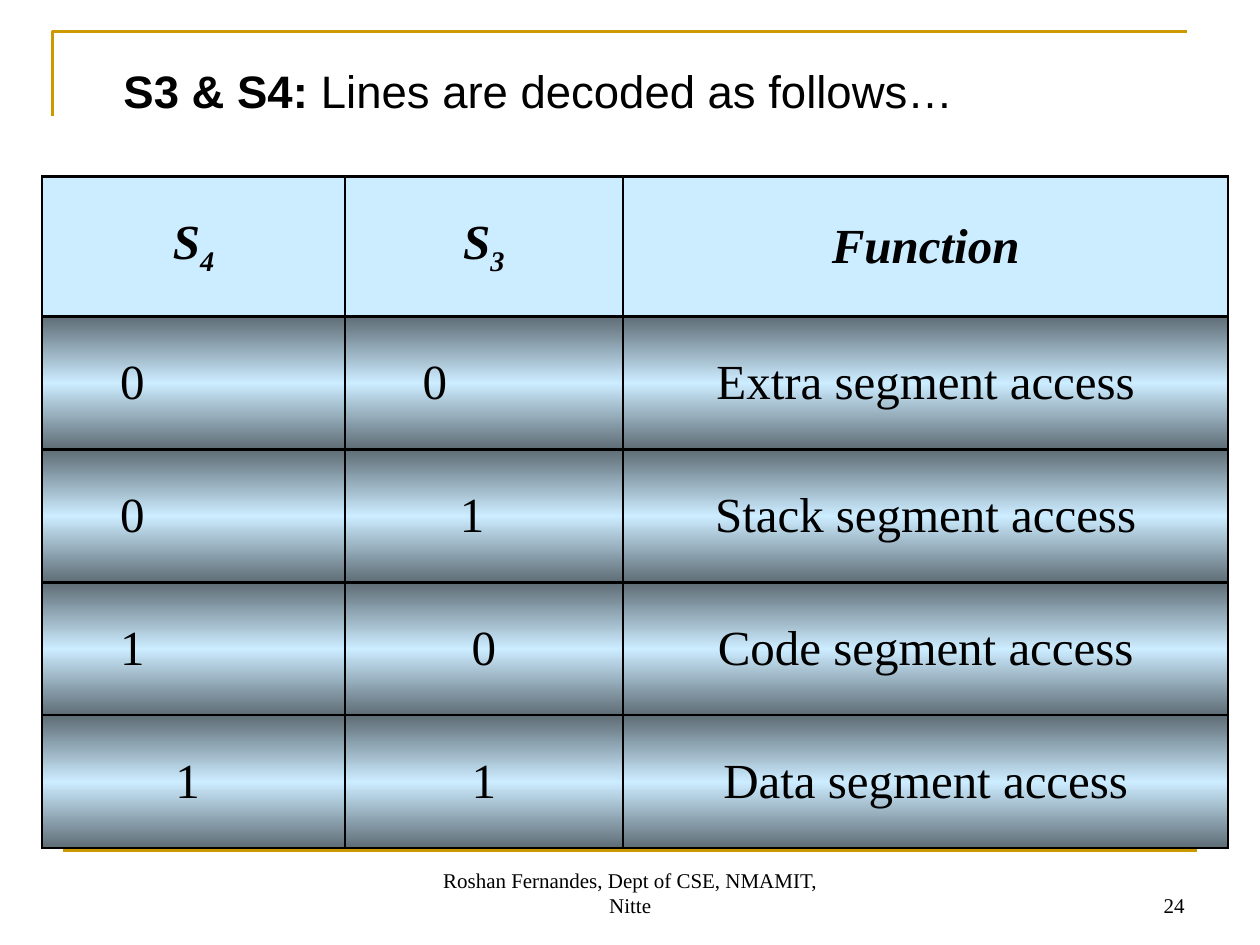
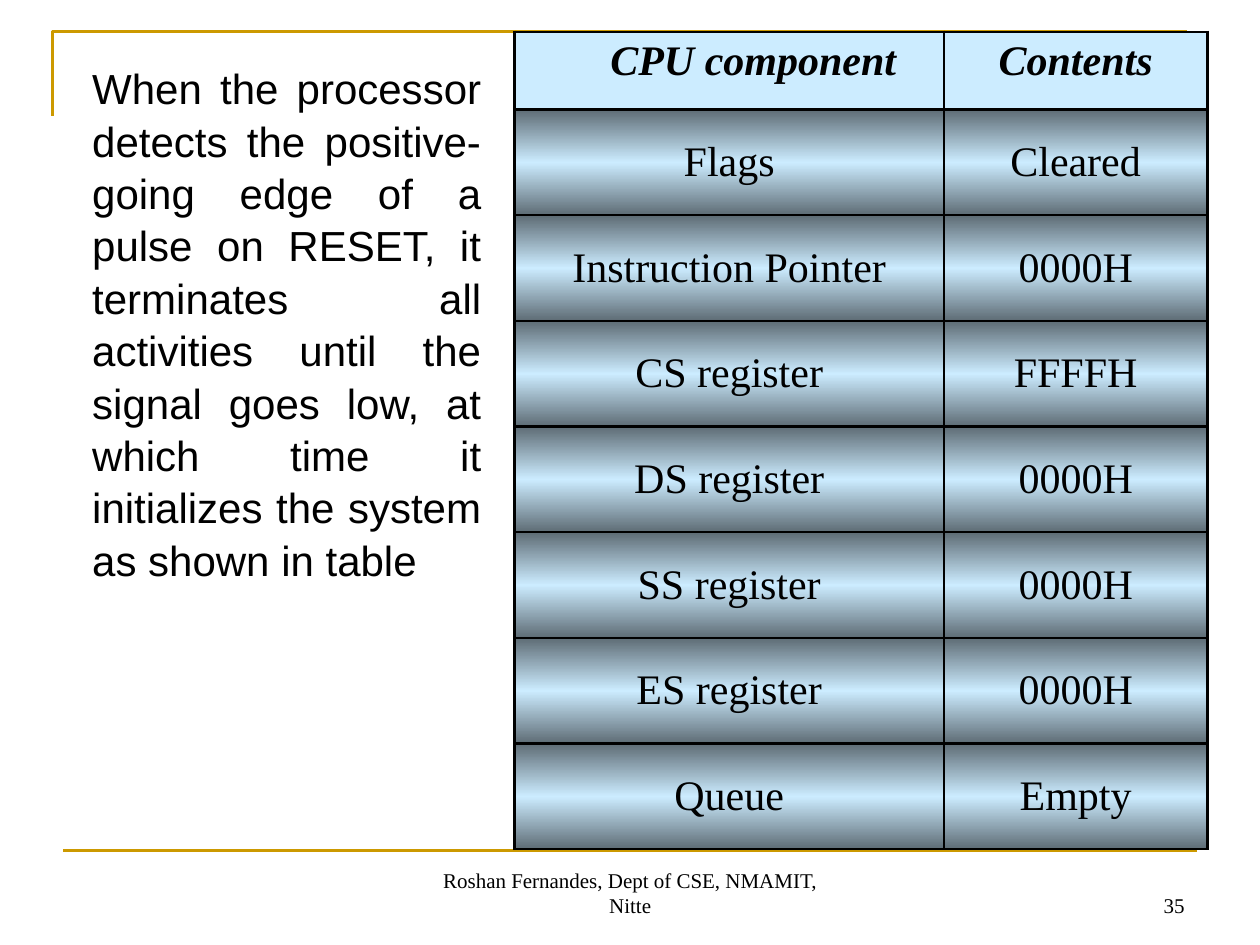
from lxml.etree import SubElement
from pptx import Presentation
from pptx.dml.color import RGBColor
from pptx.enum.shapes import MSO_CONNECTOR
from pptx.enum.text import MSO_ANCHOR, PP_ALIGN
from pptx.oxml import parse_xml
from pptx.oxml.ns import nsdecls, qn
from pptx.util import Cm, Pt

GOLD = RGBColor(0xCC, 0x99, 0x00)
BLACK = RGBColor(0x00, 0x00, 0x00)
PALE_BLUE = RGBColor(0xCC, 0xEC, 0xFF)
SLATE = RGBColor(0x5E, 0x6C, 0x75)
SANS = "Arial"
SERIF = "Times New Roman"
FOOTER = "Roshan Fernandes, Dept of CSE, NMAMIT, Nitte"
SIDE_INSET = Cm(0.25)
HANGING_INSET = Cm(1.22)

STATUS_HEADER = ["S4", "S3", "Function"]
STATUS_ROWS = [
    ["0", "0", "Extra segment access"],
    ["0", "1", "Stack segment access"],
    ["1", "0", "Code segment access"],
    ["1", "1", "Data segment access"],
]
STATUS_SHIFTS = {(1, 0): 2.46, (2, 0): 2.46, (3, 0): 2.46, (4, 0): 0.24,
                 (1, 1): 1.98, (2, 1): 0.48}
RESET_HEADER = ["CPU component", "Contents"]
RESET_ROWS = [
    ["Flags", "Cleared"],
    ["Instruction Pointer", "0000H"],
    ["CS register", "FFFFH"],
    ["DS register", "0000H"],
    ["SS register", "0000H"],
    ["ES register", "0000H"],
    ["Queue", "Empty"],
]
RESET_TEXT = (
    "When the processor detects the positive-going edge of a pulse on RESET, "
    "it terminates all activities until the signal goes low, at which time it "
    "initializes the system as shown in table"
)


def format_run(run, size, font, bold=False, italic=False):
    """Apply font, size and weight to one run in black."""
    run.font.name = font
    run.font.size = Pt(size)
    run.font.bold = bold
    run.font.italic = italic
    run.font.color.rgb = BLACK


def add_text(slide, box, parts, size, font, align=PP_ALIGN.LEFT,
             anchor=MSO_ANCHOR.TOP, left_inset=SIDE_INSET, spacing=1.0):
    """Add one paragraph made of (text, bold) parts."""
    frame = slide.shapes.add_textbox(*map(Cm, box)).text_frame
    frame.word_wrap = True
    frame.vertical_anchor = anchor
    frame.margin_left = left_inset
    frame.margin_right = SIDE_INSET
    paragraph = frame.paragraphs[0]
    paragraph.alignment = align
    paragraph.line_spacing = spacing
    for text, bold in parts:
        run = paragraph.add_run()
        run.text = text
        format_run(run, size, font, bold)


def add_frame_lines(slide):
    """Draw the gold corner and the gold line above the footer."""
    builder = slide.shapes.build_freeform(Cm(1.06), Cm(2.33))
    builder.add_line_segments(
        [(Cm(1.06), Cm(0.64)), (Cm(23.92), Cm(0.64))], close=False)
    corner = builder.convert_to_shape()
    corner.shadow.inherit = False
    corner.fill.background()
    base = slide.shapes.add_connector(
        MSO_CONNECTOR.STRAIGHT, Cm(1.27), Cm(17.15), Cm(24.13), Cm(17.15))
    SubElement(base._element.spPr, qn("a:effectLst"))
    for rule in (corner, base):
        rule.line.color.rgb = GOLD
        rule.line.width = Pt(1.5)


def add_footer(slide, number):
    """Add the author line and the slide number."""
    for left, width, text, align in (
            (8.68, 8.05, FOOTER, PP_ALIGN.CENTER),
            (18.2, 5.93, str(number), PP_ALIGN.RIGHT)):
        add_text(slide, (left, 17.35, width, 1.27), [(text, False)], 12,
                 SERIF, align, MSO_ANCHOR.BOTTOM)


def add_borders(cell):
    """Draw a black line on all four sides of a cell."""
    properties = cell._tc.get_or_add_tcPr()
    for side in ("lnL", "lnR", "lnT", "lnB"):
        properties.append(parse_xml(
            f'<a:{side} {nsdecls("a")} w="{Pt(1.47)}"><a:solidFill>'
            f'<a:srgbClr val="{BLACK}"/></a:solidFill></a:{side}>'))


def fill_with_sheen(cell):
    """Fill a cell with a vertical gradient that is light in the middle."""
    stops = "".join(
        f'<a:gs pos="{place}"><a:srgbClr val="{color}"/></a:gs>'
        for place, color in ((0, SLATE), (50000, PALE_BLUE), (100000, SLATE)))
    cell._tc.get_or_add_tcPr().append(parse_xml(
        f'<a:gradFill {nsdecls("a")} rotWithShape="1"><a:gsLst>{stops}'
        '</a:gsLst><a:lin ang="5400000" scaled="1"/></a:gradFill>'))


def write_cell(cell, text, size, is_header):
    """Write, format, border and fill one table cell."""
    paragraph = cell.text_frame.paragraphs[0]
    paragraph.alignment = PP_ALIGN.CENTER
    is_signal = text in ("S3", "S4")
    for part in (text if is_signal else [text]):
        run = paragraph.add_run()
        run.text = part
        format_run(run, size, SERIF, is_header, is_header)
        if is_signal and part.isdigit():
            run._r.get_or_add_rPr().set("baseline", "-25000")
    cell.vertical_anchor = MSO_ANCHOR.MIDDLE
    cell.margin_left = cell.margin_right = SIDE_INSET
    add_borders(cell)
    if is_header:
        cell.fill.solid()
        cell.fill.fore_color.rgb = PALE_BLUE
    else:
        fill_with_sheen(cell)


def add_sheen_table(slide, left, top, widths, heights, rows, size):
    """Add a table with a pale header row and gradient body rows."""
    table = slide.shapes.add_table(
        len(rows), len(widths), Cm(left), Cm(top),
        Cm(sum(widths)), Cm(sum(heights))).table
    table.horz_banding = False
    for column, width in zip(table.columns, widths):
        column.width = Cm(width)
    for index, (row, height) in enumerate(zip(table.rows, heights)):
        row.height = Cm(height)
        for cell, text in zip(row.cells, rows[index]):
            write_cell(cell, text, size, index == 0)
    return table


def add_framed_slide(deck, number):
    """Add a blank slide with the shared lines and footer."""
    slide = deck.slides.add_slide(deck.slide_layouts[6])
    add_frame_lines(slide)
    add_footer(slide, number)
    return slide


def add_status_slide(deck):
    """Build the slide that decodes the status lines."""
    slide = add_framed_slide(deck, 24)
    add_text(slide, (1.27, 1.1, 23.06, 1.9),
             [("S3 & S4:", True), (" Lines are decoded as follows…", False)],
             26, SANS, left_inset=HANGING_INSET, spacing=1.04)
    table = add_sheen_table(slide, 0.85, 3.56, [6.1, 5.61, 12.2],
                            [2.82] + [2.68] * 4,
                            [STATUS_HEADER] + STATUS_ROWS, 28)
    for (row, column), shift in STATUS_SHIFTS.items():
        table.cell(row, column).margin_right = SIDE_INSET + Cm(shift)


def add_reset_slide(deck):
    """Build the slide on the processor state after reset."""
    slide = add_framed_slide(deck, 35)
    add_text(slide, (0.64, 1.1, 9.31, 15.66), [(RESET_TEXT, False)], 24, SANS,
             PP_ALIGN.JUSTIFY, left_inset=HANGING_INSET, spacing=1.04)
    table = add_sheen_table(slide, 10.37, 0.64, [8.66, 5.31],
                            [1.57] + [2.13] * 7,
                            [RESET_HEADER] + RESET_ROWS, 24)
    for cell in table.rows[0].cells:
        cell.vertical_anchor = MSO_ANCHOR.TOP
    table.cell(0, 0).margin_left = HANGING_INSET


def main():
    """Build and save the deck."""
    deck = Presentation()
    deck.slide_width = Cm(25.4)
    deck.slide_height = Cm(19.05)
    add_status_slide(deck)
    add_reset_slide(deck)
    deck.save("out.pptx")


if __name__ == "__main__":
    main()
